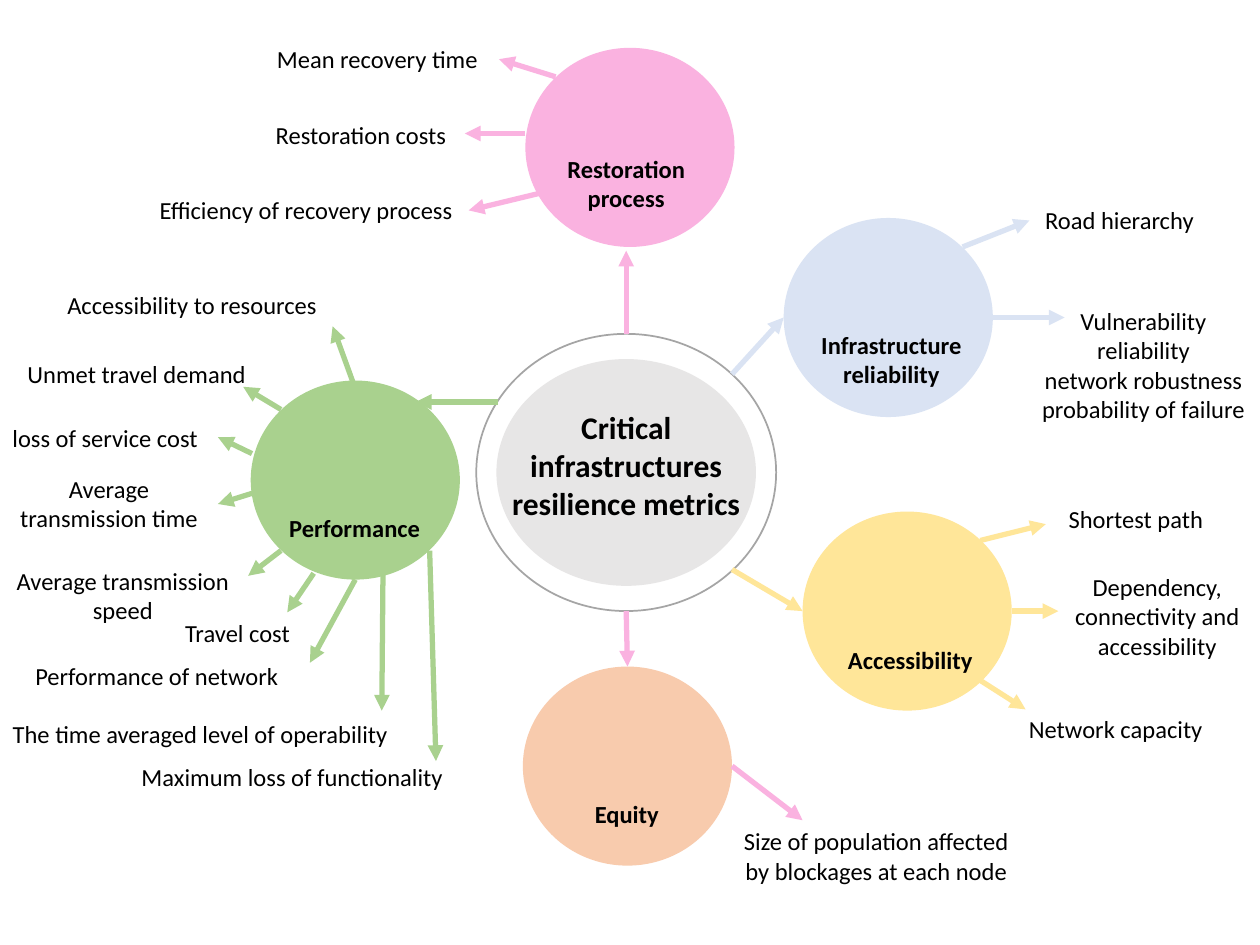
from lxml import etree
from pptx import Presentation
from pptx.dml.color import RGBColor
from pptx.enum.shapes import MSO_CONNECTOR as CONN, MSO_SHAPE as SHAPE
from pptx.enum.text import MSO_ANCHOR as ANCHOR, MSO_AUTO_SIZE as AUTO, PP_ALIGN as ALIGN
from pptx.oxml.ns import qn
from pptx.util import Inches, Pt

PINK, BLUE, GREEN, YELLOW, ORANGE = "FAB2E0", "DAE3F3", "A9D18E", "FFE699", "F8CBAD"
HUB_W, HUB_H = 1.66, 1.58

# Each topic: circle place and fill, name box, arrow colour,
# arrows (x1, y1, x2, y2; the first comes from the centre) and metric boxes
TOPICS = [
    dict(hub=(4.17, 0.38), fill=PINK, arrow=PINK,
         name=("Restoration process", 4.09, 1.17, 1.76, 0.57),
         arrows=[(4.97, 2.65, 4.97, 1.99), (4.41, 0.61, 3.96, 0.47),
                 (4.17, 1.06, 3.69, 1.06), (4.3, 1.53, 3.72, 1.67)],
         metrics=[("Mean recovery time", 1.77, 0.3, 2.45, 0.34),
                  ("Restoration costs", 2.05, 0.9, 1.63, 0.34),
                  ("Eﬃciency of recovery process", 1.16, 1.5, 2.54, 0.34)]),
    dict(hub=(6.22, 1.73), fill=BLUE, arrow=BLUE,
         name=("Infrastructure reliability", 6.32, 2.57, 1.51, 0.57),
         arrows=[(5.81, 2.97, 6.22, 2.52), (7.64, 1.96, 8.17, 1.75),
                 (7.88, 2.52, 8.45, 2.52)],
         metrics=[("Road hierarchy", 7.66, 1.58, 2.45, 0.34),
                  ("Vulnerability\nreliability\nnetwork robustness probability of failure",
                   7.85, 2.38, 2.45, 1.04)]),
    dict(hub=(6.37, 4.06), fill=YELLOW, arrow=YELLOW,
         name=("Accessibility", 6.47, 5.07, 1.51, 0.34),
         arrows=[(5.81, 4.52, 6.37, 4.85), (7.78, 4.29, 8.3, 4.16),
                 (8.03, 4.85, 8.4, 4.85), (7.78, 5.4, 8.14, 5.63)],
         metrics=[("Shortest path", 7.79, 3.95, 2.45, 0.34),
                  ("Dependency,\nconnectivity and accessibility", 7.96, 4.49, 2.45, 0.81),
                  ("Network capacity", 7.63, 5.62, 2.45, 0.34)]),
    dict(hub=(4.15, 5.29), fill=ORANGE, arrow=PINK,
         name=("Equity", 4.22, 6.29, 1.51, 0.34),
         arrows=[(4.97, 4.85, 4.98, 5.29), (5.81, 6.08, 6.37, 6.51)],
         metrics=[("Size of population aﬀected by blockages at each node",
                   5.73, 6.51, 2.45, 0.57)]),
    dict(hub=(1.99, 3.02), fill=GREEN, arrow=GREEN,
         name=("Performance", 2.06, 4.02, 1.51, 0.34),
         arrows=[(3.95, 3.19, 3.3, 3.19), (2.8, 3.03, 2.64, 2.59),
                 (2.23, 3.25, 1.93, 3.07), (2, 3.6, 1.73, 3.47),
                 (2.05, 3.9, 1.73, 4), (2.23, 4.37, 1.97, 4.57),
                 (2.49, 4.55, 2.28, 4.86), (2.82, 4.6, 2.46, 5.26),
                 (3.04, 4.52, 3.03, 5.64), (3.41, 4.37, 3.46, 6.04)],
         metrics=[("Accessibility to resources", 0.3, 2.25, 2.45, 0.34),
                  ("Unmet travel demand", -0.14, 2.8, 2.45, 0.34),
                  ("loss of service cost", -0.04, 3.31, 1.75, 0.34),
                  ("Average transmission time", 0.02, 3.71, 1.69, 0.57),
                  ("Average transmission speed", 0, 4.44, 1.95, 0.58),
                  ("Travel cost", 1.32, 4.86, 1.13, 0.34),
                  ("Performance of network", 0.02, 5.2, 2.45, 0.34),
                  ("The time averaged level of operability", -0.01, 5.66, 3.2, 0.34),
                  ("Maximum loss of functionality", 0.34, 6, 3.96, 0.34)]),
]


def color(hex_code):
    return RGBColor.from_string(hex_code)


def add_circle(s, x, y, w, h, fill=None, line=None):
    sp = s.shapes.add_shape(SHAPE.OVAL, *map(Inches, (x, y, w, h)))
    sp.shadow.inherit = False
    if fill:
        sp.fill.solid()
        sp.fill.fore_color.rgb = color(fill)
    else:
        sp.fill.background()
    if line:
        sp.line.color.rgb = color(line)
        sp.line.width = Pt(1)
    else:
        sp.line.fill.background()


def add_arrow(s, ends, hex_code):
    cxn = s.shapes.add_connector(CONN.STRAIGHT, *map(Inches, ends))
    cxn.line.color.rgb = color(hex_code)
    cxn.line.width = Pt(3)
    etree.SubElement(cxn.line._get_or_add_ln(), qn("a:tailEnd"), type="triangle")
    etree.SubElement(cxn._element.spPr, qn("a:effectLst"))


def write_text(sp, text, size, bold):
    tf = sp.text_frame
    frame = dict(text=text, word_wrap=True, auto_size=AUTO.NONE, vertical_anchor=ANCHOR.TOP,
                 margin_left=Inches(0.1), margin_right=Inches(0.1),
                 margin_top=Inches(0.05), margin_bottom=Inches(0.05))
    for key, value in frame.items():
        setattr(tf, key, value)
    font = dict(name="Calibri", size=Pt(size), bold=bold)
    for p in tf.paragraphs:
        p.alignment = ALIGN.CENTER
        p.line_spacing = 1.0
        p.space_before = Pt(0)
        for r in p.runs:
            for key, value in font.items():
                setattr(r.font, key, value)
            r.font.color.rgb = color("000000")


def add_label(s, text, x, y, w, h, bold=False):
    write_text(s.shapes.add_textbox(*map(Inches, (x, y, w, h))), text, 14, bold)


def add_title(s, text, x, y, w, h):
    sp = s.shapes.title
    place = dict(left=x, top=y, width=w, height=h)
    for key, value in place.items():
        setattr(sp, key, Inches(value))
    write_text(sp, text, 18, True)
    s.shapes._spTree.append(sp._element)  # bring in front of the circles


def add_topic(s, topic):
    add_circle(s, *topic["hub"], HUB_W, HUB_H, fill=topic["fill"])
    for ends in topic["arrows"]:
        add_arrow(s, ends, topic["arrow"])
    add_label(s, *topic["name"], bold=True)
    for metric in topic["metrics"]:
        add_label(s, *metric)


def main():
    prs = Presentation()
    prs.slide_width, prs.slide_height = Inches(10), Inches(7.5)
    s = prs.slides.add_slide(prs.slide_layouts[5])

    # Centre
    add_circle(s, 3.94, 2.85, 2.06, 1.8, fill="E7E6E6")
    add_circle(s, 3.78, 2.65, 2.38, 2.2, line="A5A5A5")

    # Topics around it
    for topic in TOPICS:
        add_topic(s, topic)

    add_title(s, "Critical infrastructures resilience metrics", 3.92, 3.19, 2.1, 1.01)
    prs.save("out.pptx")


if __name__ == "__main__":
    main()
